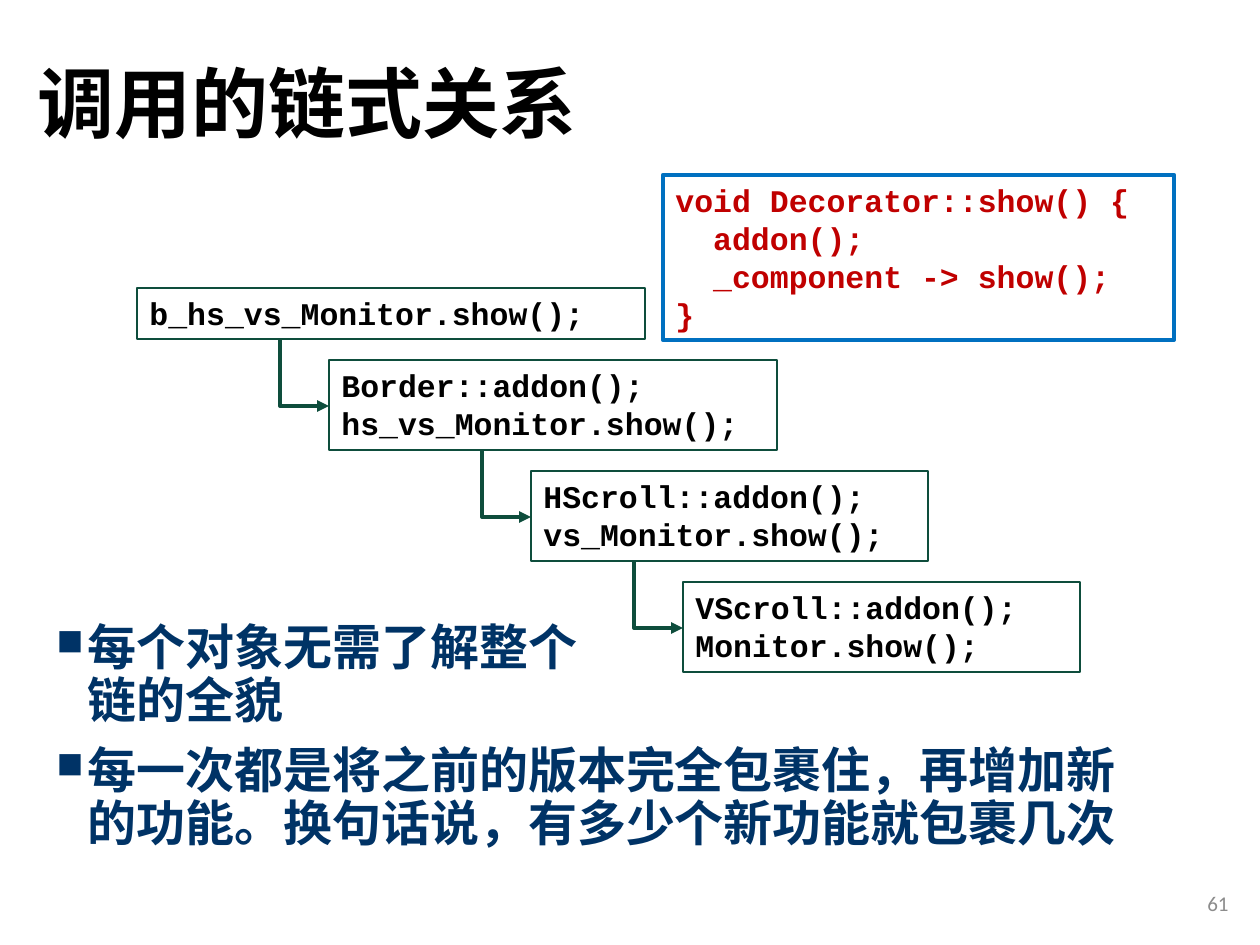
"""Build the slide on the chained calls of the decorator pattern."""
import pptx
import pptx.dml.color
import pptx.enum.shapes
import pptx.enum.text
import pptx.oxml
import pptx.oxml.ns
import pptx.util

PX = 914400 / 126
CJK = "Noto Sans CJK SC"
MONO = "Courier New"
GREEN = "0E4D3C"
ARROW_W, ARROW_H = 49, 67
CHAIN = [
    (137, 288, 508, 51, "b_hs_vs_Monitor.show();"),
    (329, 360, 448, 90, "Border::addon();\nhs_vs_Monitor.show();"),
    (531, 471, 397, 90, "HScroll::addon();\nvs_Monitor.show();"),
    (683, 582, 397, 90, "VScroll::addon();\nMonitor.show();"),
]
DECORATOR = "void Decorator::show() {\n  addon();\n  _component -> show();\n}"
POINTS = [
    "每个对象无需了解整个\n链的全貌",
    "每一次都是将之前的版本完全包裹住，再增加新的功能。换句话说，有多少个新功能就包裹几次",
]


def px(n):
    return pptx.util.Emu(round(n * PX))


def rgb(color):
    return pptx.dml.color.RGBColor.from_string(color)


def add_xml(parent, tag, **attrs):
    e = pptx.oxml.parse_xml(f"<a:{tag} {pptx.oxml.ns.nsdecls('a')}/>")
    for name, value in attrs.items():
        e.set(name, value)
    parent.append(e)


def style(p, size, font, color, bold=True):
    for r in p.runs:
        r.font.size = pptx.util.Pt(size)
        r.font.name = font
        r.font.bold = bold
        r.font.color.rgb = rgb(color)
        add_xml(r.font._element, "ea", typeface=CJK)


def add_text(s, x, y, w, h, text=""):
    tf = s.shapes.add_textbox(px(x), px(y), px(w), px(h)).text_frame
    tf.word_wrap = True
    tf.text = text
    return tf


def add_title(s, text):
    tf = add_text(s, 25, 16, 1086, 183, text)
    tf.vertical_anchor = pptx.enum.text.MSO_ANCHOR.MIDDLE
    tf.paragraphs[0].line_spacing = 0.9
    style(tf.paragraphs[0], 44, CJK, "000000")


def add_bullets(s, points):
    tf = add_text(s, 44, 617, 1086, 234)
    for i, point in enumerate(points):
        p = tf.add_paragraph() if i else tf.paragraphs[0]
        p.text = point
        p.line_spacing = 0.9
        p.space_before = pptx.util.Pt(10)
        style(p, 28, MONO, "003366")
        pPr = p._p.get_or_add_pPr()
        pPr.set("marL", "228600")
        pPr.set("indent", "-228600")
        add_xml(pPr, "buSzPct", val="75000")
        add_xml(pPr, "buChar", char="■")


def add_number(s, text):
    tf = add_text(s, 958, 878, 283, 50, text)
    tf.vertical_anchor = pptx.enum.text.MSO_ANCHOR.MIDDLE
    tf.paragraphs[0].alignment = pptx.enum.text.PP_ALIGN.RIGHT
    style(tf.paragraphs[0], 12, "Calibri", "8C8C8C", bold=False)


def add_code(s, x, y, w, h, text, line=GREEN, width=0.75, color="000000"):
    sp = s.shapes.add_shape(pptx.enum.shapes.MSO_SHAPE.RECTANGLE, px(x), px(y), px(w), px(h))
    sp.shadow.inherit = False
    sp.fill.background()
    sp.line.color.rgb = rgb(line)
    sp.line.width = pptx.util.Pt(width)
    tf = sp.text_frame
    tf.word_wrap = True
    tf.vertical_anchor = pptx.enum.text.MSO_ANCHOR.TOP
    tf.text = text
    for p in tf.paragraphs:
        p.alignment = pptx.enum.text.PP_ALIGN.LEFT
        style(p, 18, MONO, color)


def add_elbow(s, x, y):
    left = x + (ARROW_W - ARROW_H) / 2
    top = y + (ARROW_H - ARROW_W) / 2
    c = s.shapes.add_connector(pptx.enum.shapes.MSO_CONNECTOR.ELBOW,
                               px(left + ARROW_H), px(top), px(left), px(top + ARROW_W))
    c.line.color.rgb = rgb(GREEN)
    c.line.width = pptx.util.Pt(2.25)
    spPr = c._element.spPr
    spPr.find(pptx.oxml.ns.qn("a:xfrm")).set("rot", "16200000")
    spPr.find(pptx.oxml.ns.qn("a:prstGeom")).set("prst", "bentConnector2")
    add_xml(c.line._get_or_add_ln(), "tailEnd", type="triangle")
    add_xml(spPr, "effectLst")


def main():
    prs = pptx.Presentation()
    prs.slide_width, prs.slide_height = px(1260), px(945)
    s = prs.slides.add_slide(prs.slide_layouts[6])
    add_title(s, "调用的链式关系")
    add_bullets(s, POINTS)
    add_number(s, "61")
    add_code(s, 663, 175, 511, 165, DECORATOR, "0070C0", 2.5, "C00000")
    for box in CHAIN:
        add_code(s, *box)
    for (_, y, _, h, _), (x, *_) in zip(CHAIN, CHAIN[1:]):
        add_elbow(s, x - ARROW_W, y + h)
    prs.save("out.pptx")


if __name__ == "__main__":
    main()
